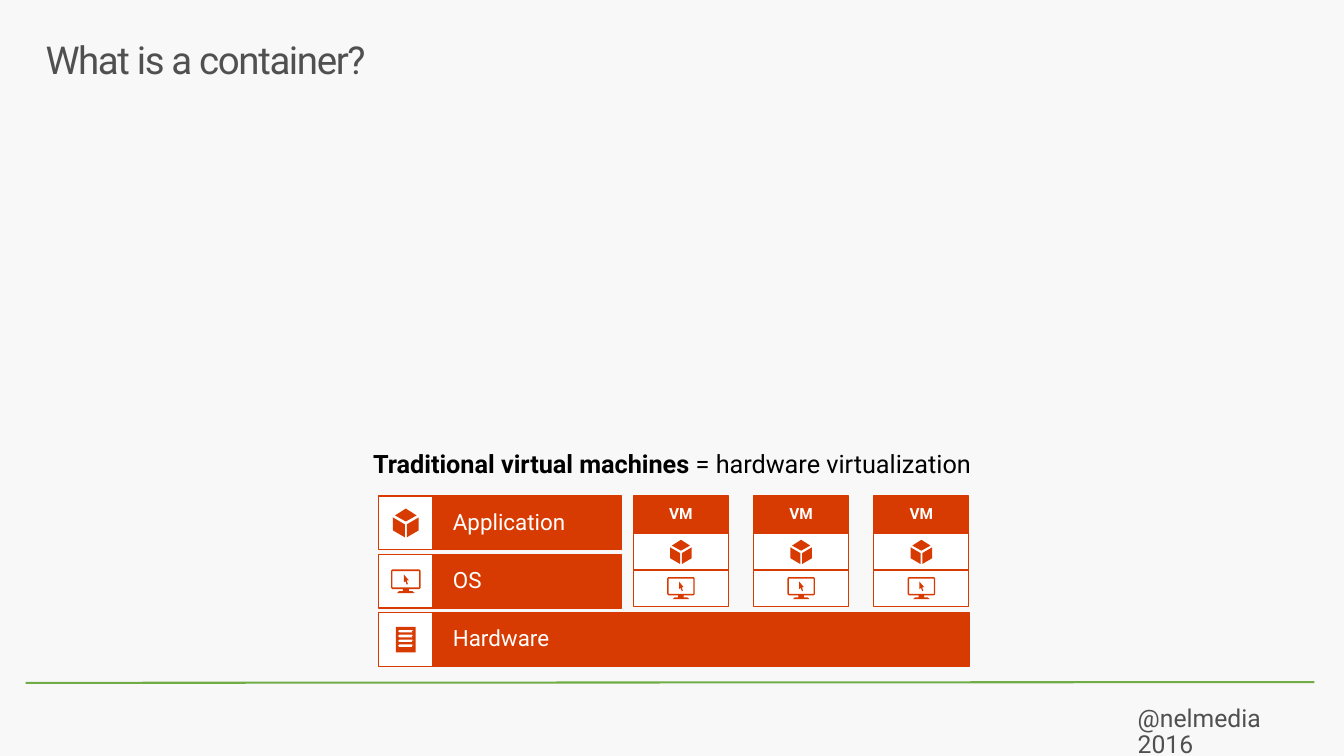
import pptx
import pptx.dml.color
import pptx.enum.shapes
import pptx.enum.text
import pptx.oxml.ns
import lxml.etree
from pptx.util import Cm, Pt

RGBColor = pptx.dml.color.RGBColor
MSO_SHAPE = pptx.enum.shapes.MSO_SHAPE
PP_ALIGN = pptx.enum.text.PP_ALIGN
MSO_ANCHOR = pptx.enum.text.MSO_ANCHOR

BACKGROUND = RGBColor(0xF8, 0xF8, 0xF8)
GREY = RGBColor(0x50, 0x50, 0x50)
GREEN = RGBColor(0x70, 0xAD, 0x47)
ORANGE = RGBColor(0xD8, 0x3B, 0x01)
WHITE = RGBColor(0xFF, 0xFF, 0xFF)
BLACK = RGBColor(0x00, 0x00, 0x00)
FONT = "Roboto"
INSETS = (0.51, 0.41, 0.51, 0.41)


def server_slot(i):
    top = 0.12 + 0.19 * i
    mid, bottom = top + 0.05, top + 0.1
    return [(0.1, mid), (0.17, bottom), (0.83, bottom),
            (0.9, mid), (0.83, top), (0.17, top)]


# Each icon: width and height in cm, then its outlines as fractions of that
# size; the contours after the first in an outline are holes.
CUBE = (0.66, 0.74, [
    [[(0, 0.31), (0.46, 0.55), (0.46, 1), (0, 0.76)]],
    [[(1, 0.31), (0.54, 0.55), (0.54, 1), (1, 0.76)]],
    [[(0.5, 0), (0.92, 0.24), (0.5, 0.45), (0.08, 0.24)]],
])
MONITOR = (0.76, 0.61, [
    [[(0.04, 0), (0.96, 0), (1, 0.06), (1, 0.77), (0.96, 0.83), (0.6, 0.83),
      (0.6, 0.92), (0.73, 0.92), (0.8, 1), (0.2, 1), (0.27, 0.92),
      (0.4, 0.92), (0.4, 0.83), (0.04, 0.83), (0, 0.77), (0, 0.06)],
     [(0.05, 0.07), (0.05, 0.76), (0.95, 0.76), (0.95, 0.07)]],
    [[(0.43, 0.21), (0.6, 0.46), (0.53, 0.47), (0.57, 0.62),
      (0.53, 0.64), (0.49, 0.5), (0.43, 0.54)]],
])
SERVER = (0.51, 0.66, [
    [[(0, 0), (1, 0), (1, 1), (0, 1)]] + [server_slot(i) for i in range(4)],
])


def add_run(p, text, size, color, bold=False):
    r = p.add_run()
    r.text = text
    r.font.name = FONT
    r.font.size = Pt(size)
    r.font.bold = bold
    r.font.color.rgb = color
    return r


def format_frame(tf, insets, anchor=MSO_ANCHOR.TOP, align=PP_ALIGN.LEFT):
    """Set up a text frame and return its first paragraph."""
    tf.margin_left, tf.margin_top, tf.margin_right, tf.margin_bottom = map(Cm, insets)
    tf.word_wrap = True
    tf.vertical_anchor = anchor
    p = tf.paragraphs[0]
    p.alignment = align
    p.line_spacing = 0.9
    p.space_before = Pt(0)
    return p


def add_box(shapes, x, y, w, h, fill, kind=MSO_SHAPE.RECTANGLE, outlined=True):
    sp = shapes.add_shape(kind, Cm(x), Cm(y), Cm(w), Cm(h))
    sp.shadow.inherit = False
    sp.fill.solid()
    sp.fill.fore_color.rgb = fill
    if outlined:
        sp.line.color.rgb = ORANGE
        sp.line.width = Pt(0.85)
    else:
        sp.line.fill.background()
    return sp


def add_icon_cell(shapes, icon, x, y, w, h, scale=1):
    """Draw a white cell with the icon in its middle."""
    add_box(shapes, x, y, w, h, WHITE)
    icon_w, icon_h = icon[0] * scale, icon[1] * scale
    left, top = x + (w - icon_w) / 2, y + (h - icon_h) / 2
    for contours in icon[2]:
        builder = None
        for contour in contours:
            pts = [(Cm(left + fx * icon_w), Cm(top + fy * icon_h)) for fx, fy in contour]
            if builder is None:
                builder = shapes.build_freeform(*pts[0])
            else:
                builder.move_to(*pts[0])
            builder.add_line_segments(pts[1:], close=True)
        sp = builder.convert_to_shape()
        sp.shadow.inherit = False
        sp.fill.solid()
        sp.fill.fore_color.rgb = ORANGE
        sp.line.fill.background()
    if icon is SERVER:
        for i in range(4):
            add_box(shapes, left + 0.8 * icon_w, top + (0.15 + 0.19 * i) * icon_h,
                    0.05, 0.04, ORANGE, MSO_SHAPE.OVAL, outlined=False)


def add_title(s, x, y, w, h):
    sp = s.shapes.title
    sp.left, sp.top, sp.width, sp.height = Cm(x), Cm(y), Cm(w), Cm(h)
    p = format_frame(sp.text_frame, (0.41, 0.25, 0.41, 0.25))
    r = add_run(p, "What is a container?", 28, GREY)
    r.font._element.set("spc", "-100")


def add_footer(s, x, y, w):
    line = s.shapes.add_connector(pptx.enum.shapes.MSO_CONNECTOR.STRAIGHT,
                                  Cm(x), Cm(y), Cm(x + w), Cm(y - 0.02))
    line.line.color.rgb = GREEN
    line.line.width = Pt(1.5)
    lxml.etree.SubElement(line._element.spPr, pptx.oxml.ns.qn("a:effectLst"))
    box = s.shapes.add_textbox(Cm(x + w - 5.05), Cm(y + 0.18), Cm(5.2), Cm(1.52))
    p = format_frame(box.text_frame, INSETS)
    add_run(p, "@nelmedia 2016", 18, GREY)


def add_heading(s, x, y, w, h):
    box = s.shapes.add_textbox(Cm(x), Cm(y), Cm(w), Cm(h))
    p = format_frame(box.text_frame, (0.51, 0, 0.51, 0.41), align=PP_ALIGN.CENTER)
    add_run(p, "Traditional virtual machines ", 18.4, BLACK, bold=True)
    add_run(p, "= hardware virtualization", 18.4, BLACK)


def add_layer(s, label, icon, x, y, w, h):
    tile_w = 1.4
    bar = add_box(s.shapes, x + tile_w, y, w - tile_w, h, ORANGE)
    p = format_frame(bar.text_frame, INSETS, MSO_ANCHOR.MIDDLE)
    add_run(p, label, 16.3, WHITE)
    add_icon_cell(s.shapes.add_group_shape().shapes, icon, x, y, tile_w, h)


def add_vm(s, x, y, w):
    header_h, cell_h = 0.97, 0.93
    shapes = s.shapes.add_group_shape().shapes
    add_icon_cell(shapes, CUBE, x, y + header_h, w, cell_h, 0.84)
    add_icon_cell(shapes, MONITOR, x, y + header_h + cell_h, w, cell_h, 0.93)
    header = add_box(shapes, x, y, w, header_h, ORANGE)
    p = format_frame(header.text_frame, (0.13,) * 4, MSO_ANCHOR.MIDDLE, PP_ALIGN.CENTER)
    add_run(p, "VM", 11.2, WHITE, bold=True)


def add_vm_stack(s, x, y):
    layers = [("Application", CUBE, 6.25), ("OS", MONITOR, 6.25), ("Hardware", SERVER, 15.19)]
    for i, (label, icon, w) in enumerate(layers):
        add_layer(s, label, icon, x, y + 1.5 * i, w, 1.38)
    for i in range(3):
        add_vm(s, x + 6.55 + 3.09 * i, y, 2.44)


def main():
    prs = pptx.Presentation()
    prs.slide_width, prs.slide_height = Cm(34.54), Cm(19.43)
    s = prs.slides.add_slide(prs.slide_layouts[5])
    s.background.fill.solid()
    s.background.fill.fore_color.rgb = BACKGROUND
    add_footer(s, 0.66, 17.55, 33.12)
    add_title(s, 0.76, 0.81, 33.02, 2.54)
    add_heading(s, 0, 11.61, 34.54, 1.12)
    add_vm_stack(s, 9.73, 12.75)
    prs.save("out.pptx")


if __name__ == "__main__":
    main()
